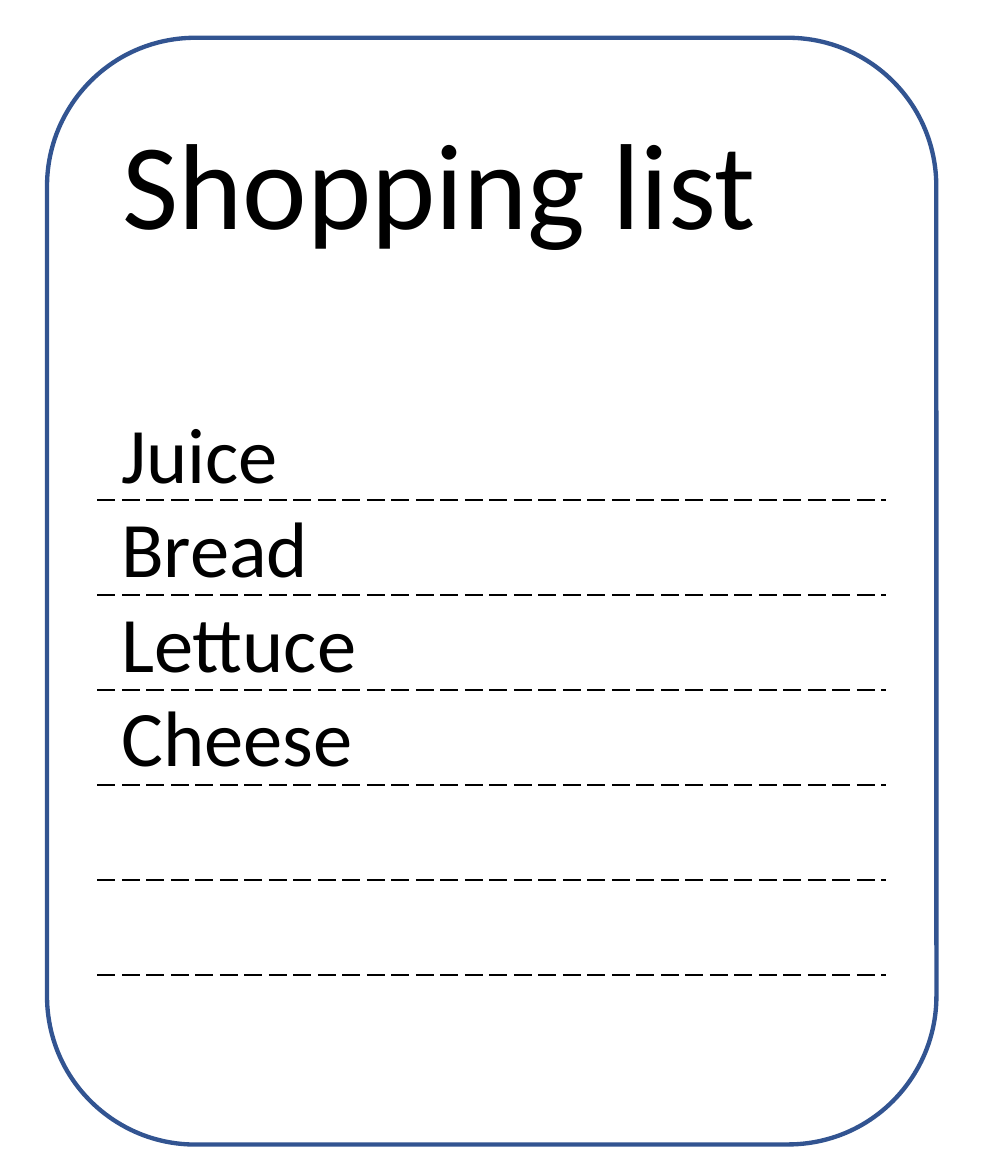
"""Build a shopping list card with ruled lines."""
from typing import NamedTuple

import pptx
import pptx.dml.color
import pptx.enum.dml
import pptx.enum.shapes
import pptx.enum.text
import pptx.oxml
import pptx.util

Inches = pptx.util.Inches
BLACK = pptx.dml.color.RGBColor(0x00, 0x00, 0x00)
CARD_BLUE = pptx.dml.color.RGBColor(0x32, 0x54, 0x91)
FONT_NAME = "Calibri"
TITLE_SIZE, ITEM_SIZE = 28, 18
ITEMS = ["Juice", "Bread", "Lettuce", "Cheese"]
RULE_COUNT = 6
FIRST_RULE, LAST_RULE = 1.59, 3.10
ROW_HEIGHT = (LAST_RULE - FIRST_RULE) / (RULE_COUNT - 1)
RULE_LEFT, RULE_RIGHT = 0.31, 2.82


class Box(NamedTuple):
    """A rectangle in inches."""

    left: float
    top: float
    width: float
    height: float


CARD = Box(0.15, 0.12, 2.83, 3.52)
TITLE = Box(0.39, 0.34, 2.35, 0.48)
ITEMS_MARGIN_TOP = 1.03


def set_attributes(target, values: dict) -> None:
    """Set every named format value on the target."""
    for name, value in values.items():
        setattr(target, name, value)


def write_lines(text_frame, lines: list[str], size: int, frame_format: dict) -> None:
    """Write left-aligned black paragraphs into a text frame."""
    set_attributes(text_frame, {
        "text": "\n".join(lines),
        "word_wrap": True,
        "auto_size": pptx.enum.text.MSO_AUTO_SIZE.NONE,
        "vertical_anchor": pptx.enum.text.MSO_ANCHOR.TOP,
        **frame_format,
    })
    for paragraph in text_frame.paragraphs:
        paragraph.alignment = pptx.enum.text.PP_ALIGN.LEFT
        set_attributes(paragraph.font, {"name": FONT_NAME, "size": pptx.util.Pt(size)})
        paragraph.font.color.rgb = BLACK


def add_title(slide) -> None:
    """Place the heading in the title placeholder."""
    title = slide.shapes.title
    set_attributes(title, {name: Inches(value) for name, value in TITLE._asdict().items()})
    margins = ("margin_left", "margin_top", "margin_right", "margin_bottom")
    write_lines(title.text_frame, ["Shopping list"], TITLE_SIZE, dict.fromkeys(margins, 0))


def add_card(slide) -> None:
    """Draw the rounded card holding the list items."""
    card = slide.shapes.add_shape(
        pptx.enum.shapes.MSO_SHAPE.ROUNDED_RECTANGLE, *map(Inches, CARD))
    card.shadow.inherit = False
    card.fill.background()
    card.line.color.rgb = CARD_BLUE
    card.line.width = pptx.util.Pt(1)
    write_lines(card.text_frame, ITEMS, ITEM_SIZE, {"margin_top": Inches(ITEMS_MARGIN_TOP)})


def add_rule(slide, row: int) -> None:
    """Draw the dashed rule under one row of the list."""
    height = Inches(FIRST_RULE + row * ROW_HEIGHT)
    rule = slide.shapes.add_connector(
        pptx.enum.shapes.MSO_CONNECTOR.STRAIGHT,
        Inches(RULE_LEFT), height, Inches(RULE_RIGHT), height)
    set_attributes(rule.line, {
        "width": pptx.util.Pt(0.5),
        "dash_style": pptx.enum.dml.MSO_LINE.LONG_DASH,
    })
    rule.line.color.rgb = BLACK
    properties = rule._element.spPr
    properties.append(pptx.oxml.parse_xml(
        '<a:effectLst xmlns:a="http://schemas.openxmlformats.org/drawingml/2006/main"/>'))


def main() -> None:
    """Build and save the presentation."""
    presentation = pptx.Presentation()
    set_attributes(presentation, {"slide_width": Inches(3.15), "slide_height": Inches(3.74)})
    slide = presentation.slides.add_slide(presentation.slide_layouts.get_by_name("Title Only"))
    add_card(slide)
    add_title(slide)
    for row in range(RULE_COUNT):
        add_rule(slide, row)
    presentation.save("out.pptx")


main()
